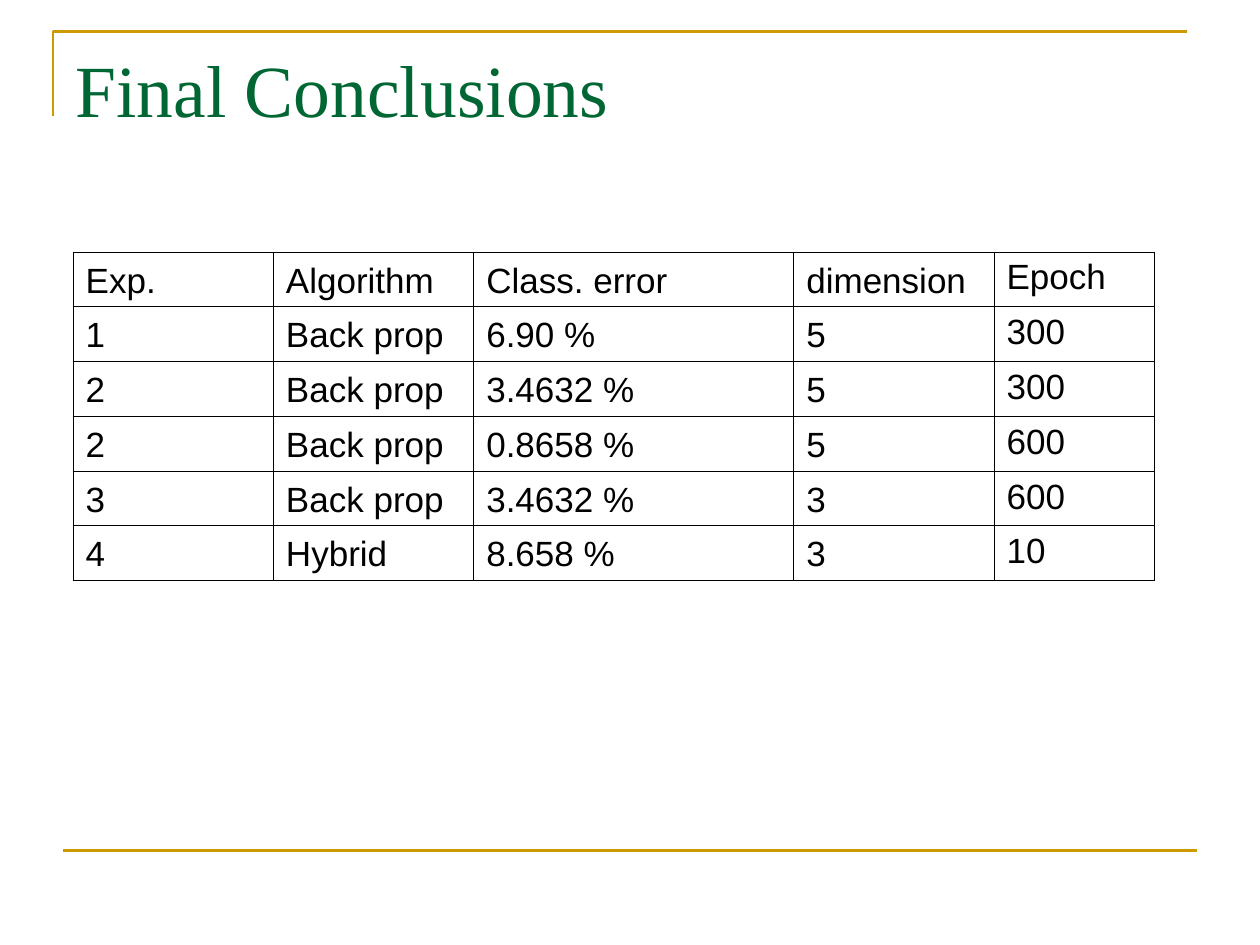
"""Build the Final Conclusions slide with its table of experiments."""
from lxml import etree
from pptx import Presentation
from pptx.dml.color import RGBColor
from pptx.enum.shapes import MSO_CONNECTOR
from pptx.enum.text import MSO_ANCHOR, PP_ALIGN
from pptx.oxml.ns import qn
from pptx.util import Inches, Pt

STRAIGHT = MSO_CONNECTOR.STRAIGHT
TOP, BOTTOM = MSO_ANCHOR.TOP, MSO_ANCHOR.BOTTOM
LEFT, JUSTIFY = PP_ALIGN.LEFT, PP_ALIGN.JUSTIFY
GOLD = RGBColor(0xCC, 0x99, 0x00)
GREEN = RGBColor(0x00, 0x66, 0x33)
BLACK = RGBColor(0x00, 0x00, 0x00)
COLUMN_WIDTHS = [1.59, 1.59, 2.54, 1.59, 1.27]
TABLE_HEIGHT = 2.61
ROWS = [
    ["Exp.", "Algorithm", "Class. error", "dimension", "Epoch"],
    ["1", "Back prop", "6.90 %", "5", "300"],
    ["2", "Back prop", "3.4632 %", "5", "300"],
    ["2", "Back prop", "0.8658 %", "5", "600"],
    ["3", "Back prop", "3.4632 %", "3", "600"],
    ["4", "Hybrid", "8.658 %", "3", "10"],
]


def format_text(paragraph, size, name, color):
    for run in paragraph.runs:
        run.font.size = Pt(size)
        run.font.name = name
        run.font.color.rgb = color


def add_borders(cell, width, color):
    properties = cell._tc.get_or_add_tcPr()
    for position, side in enumerate(["a:lnL", "a:lnR", "a:lnT", "a:lnB"]):
        border = etree.Element(qn(side), w=str(Pt(width)))
        fill = etree.SubElement(border, qn("a:solidFill"))
        etree.SubElement(fill, qn("a:srgbClr"), val=str(color))
        properties.insert(position, border)


presentation = Presentation()
presentation.slide_width = Inches(10)
presentation.slide_height = Inches(7.5)
slide = presentation.slides.add_slide(presentation.slide_layouts[5])
shapes = slide.shapes

builder = shapes.build_freeform(Inches(0.42), Inches(0.92))
builder.add_line_segments(
    [(Inches(0.42), Inches(0.25)), (Inches(9.42), Inches(0.25))], close=False
)
corner = builder.convert_to_shape()
corner.shadow.inherit = False
corner.fill.background()

footer_line = shapes.add_connector(
    STRAIGHT, Inches(0.5), Inches(6.75), Inches(9.5), Inches(6.75)
)
etree.SubElement(footer_line._element.spPr, qn("a:effectLst"))
for shape in (corner, footer_line):
    shape.line.color.rgb = GOLD
    shape.line.width = Pt(1.5)

title = shapes.title
shapes._spTree.append(title._element)
title.left, title.top = Inches(0.5), Inches(0.3)
title.width, title.height = Inches(9), Inches(1.25)
title.text_frame.text = "Final Conclusions"
title.text_frame.vertical_anchor = TOP
title_paragraph = title.text_frame.paragraphs[0]
title_paragraph.alignment = LEFT
format_text(title_paragraph, 42, "Times New Roman", GREEN)

table = shapes.add_table(
    len(ROWS), len(COLUMN_WIDTHS), Inches(0.58), Inches(2),
    Inches(sum(COLUMN_WIDTHS)), Inches(TABLE_HEIGHT),
).table
table.first_row = False
table.horz_banding = False
for column, width in zip(table.columns, COLUMN_WIDTHS):
    column.width = Inches(width)

for row_index, values in enumerate(ROWS):
    for column_index, value in enumerate(values):
        cell = table.cell(row_index, column_index)
        cell.text_frame.text = value
        cell.vertical_anchor = TOP if column_index == 4 else BOTTOM
        cell.fill.background()
        add_borders(cell, 0.45, BLACK)
        paragraph = cell.text_frame.paragraphs[0]
        paragraph.alignment = JUSTIFY if column_index == 1 and row_index else LEFT
        format_text(paragraph, 20, "Arial", BLACK)

presentation.save("out.pptx")
